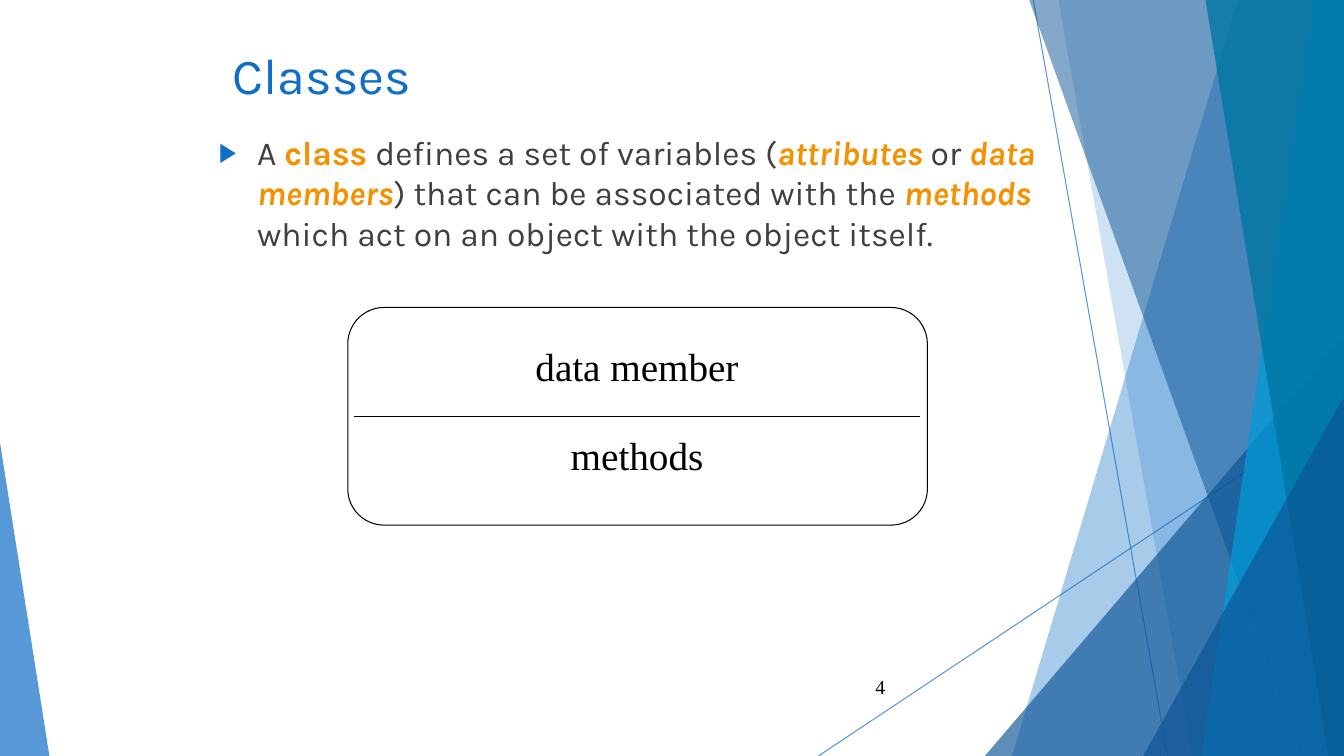
"""Build the Classes slide: a definition above a two-part class diagram."""
from lxml import etree
from pptx import Presentation
from pptx import util as u
from pptx.dml import color
from pptx.enum import shapes, text
from pptx.oxml import ns

BLUE, NAVY, ORANGE, GREY, BLACK = "0F6FC6", "0B5394", "F49100", "404040", "000000"
SERIF, SANS = "Times New Roman", "Karla"

presentation = Presentation()
presentation.slide_width, presentation.slide_height = u.Inches(13.333), u.Inches(7.5)
slide = presentation.slides.add_slide(presentation.slide_layouts[1])
tree = slide.shapes


def paint(fill, hex_colour, opacity=100):
    """Give a fill a solid colour with an opacity in percent."""
    fill.solid()
    fill.fore_color.rgb = color.RGBColor.from_string(hex_colour)
    if opacity < 100:
        solid = fill._xPr.find(ns.qn("a:solidFill"))
        etree.SubElement(solid[0], ns.qn("a:alpha"), val=str(opacity * 1000))


def share(*percents):
    """Turn alternating x and y percentages of the slide into lengths."""
    sides = (presentation.slide_width, presentation.slide_height) * 2
    return [u.Emu(round(side * percent / 100)) for side, percent in zip(sides, percents)]


lines = [
    ((76.88, 0, 86.88, 100), BLUE, 70),
    ((100, 53.73, 60.9, 100), BLUE, 70),
    ((26.33, 55.07, 68.48, 55.07), BLACK, 100),
]
for ends, colour, opacity in lines:
    connector = tree.add_connector(shapes.MSO_CONNECTOR.STRAIGHT, *share(*ends))
    connector.line.width = u.Pt(0.75)
    paint(connector.line.fill, colour, opacity)
    etree.SubElement(connector._element.spPr, ns.qn("a:effectLst"))

facets = [
    (100, 92.1, 75.3, 0, BLUE, 36),
    (100, 78.75, 88.73, 0, BLUE, 20),
    (100, 100, 73.28, 44.4, NAVY, 66),
    (100, 76.58, 96.83, 0, NAVY, 50),
    (100, 97.73, 89.4, 0, "009DD9", 70),
    (100, 89.7, 98.85, 0, "0076A3", 80),
    (100, 100, 85.05, 52.4, NAVY, 66),
    (0, 0, 3.68, 58.53, BLUE, 70),
]
for edge, top_x, bottom_x, top, colour, opacity in facets:
    if top_x == edge:
        box = share(min(edge, bottom_x), top, abs(edge - bottom_x), 100 - top)
        facet = tree.add_shape(shapes.MSO_SHAPE.ISOSCELES_TRIANGLE, *box)
        facet.adjustments[0] = edge / 100
    else:
        builder = tree.build_freeform(*share(top_x, top))
        corners = [(edge, top), (edge, 100), (bottom_x, 100)]
        builder.add_line_segments([share(*corner) for corner in corners])
        facet = builder.convert_to_shape()
    facet.shadow.inherit = False
    facet.line.fill.background()
    paint(facet.fill, colour, opacity)

class_box = tree.add_shape(shapes.MSO_SHAPE.ROUNDED_RECTANGLE, *share(25.88, 40.67, 43.13, 28.8))
class_box.adjustments[0] = 0.167
class_box.shadow.inherit = False
class_box.fill.background()
class_box.line.width = u.Pt(0.75)
paint(class_box.line.fill, BLACK)

labels = [
    ("4", (59.1, 88.13, 7.5, 5.33), 14, text.PP_ALIGN.RIGHT),
    ("data member", (32.4, 44.53, 30, 7.6), 28, text.PP_ALIGN.CENTER),
    ("methods", (32.4, 56.4, 30, 7.6), 28, text.PP_ALIGN.CENTER),
]
for wording, box, size, alignment in labels:
    frame = tree.add_textbox(*share(*box)).text_frame
    frame.word_wrap = True
    frame.vertical_anchor = text.MSO_ANCHOR.MIDDLE
    frame.text = wording
    paragraph = frame.paragraphs[0]
    paragraph.alignment = alignment
    paragraph.font.name, paragraph.font.size = SERIF, u.Pt(size)
    paint(paragraph.runs[0].font.fill, BLACK)
    paragraph.runs[0].font.name, paragraph.runs[0].font.size = SERIF, u.Pt(size)

title, body = tree.title, tree.placeholders[1]
definition = [
    ("A ", ""), ("class", "b"), (" defines a set of variables (", ""),
    ("attributes", "bi"), (" or ", ""), ("data members", "bi"),
    (") that can be associated with the ", ""), ("methods", "bi"),
    (" which act on an object with the object itself.", ""),
]
contents = [
    (title, (16.58, 5.2, 63.75, 13.33), 36, BLUE, [("Classes", "")]),
    (body, (15.53, 16.8, 63.75, 76.67), 24, GREY, definition),
]
for placeholder, box, size, colour, pieces in contents:
    placeholder.left, placeholder.top, placeholder.width, placeholder.height = share(*box)
    frame = placeholder.text_frame
    frame.word_wrap = True
    frame.auto_size = text.MSO_AUTO_SIZE.NONE
    frame.vertical_anchor = text.MSO_ANCHOR.TOP
    paragraph = frame.paragraphs[0]
    paragraph.alignment = text.PP_ALIGN.LEFT
    paragraph.space_before = u.Pt(0)
    for wording, style in pieces:
        run = paragraph.add_run()
        run.text = wording
        run.font.name, run.font.size = SANS, u.Pt(size)
        run.font.bold, run.font.italic = "b" in style, "i" in style
        paint(run.font.fill, ORANGE if style else colour)
    tree._spTree.append(placeholder._element)

properties = body.text_frame.paragraphs[0]._p.get_or_add_pPr()
properties.set("marL", str(u.Inches(0.38)))
properties.set("indent", str(-u.Inches(0.38)))
bullet_colour = etree.SubElement(properties, ns.qn("a:buClr"))
etree.SubElement(bullet_colour, ns.qn("a:srgbClr"), val=BLUE)
etree.SubElement(properties, ns.qn("a:buSzPct"), val="80000")
etree.SubElement(properties, ns.qn("a:buChar"), char="▶")

presentation.save("out.pptx")
